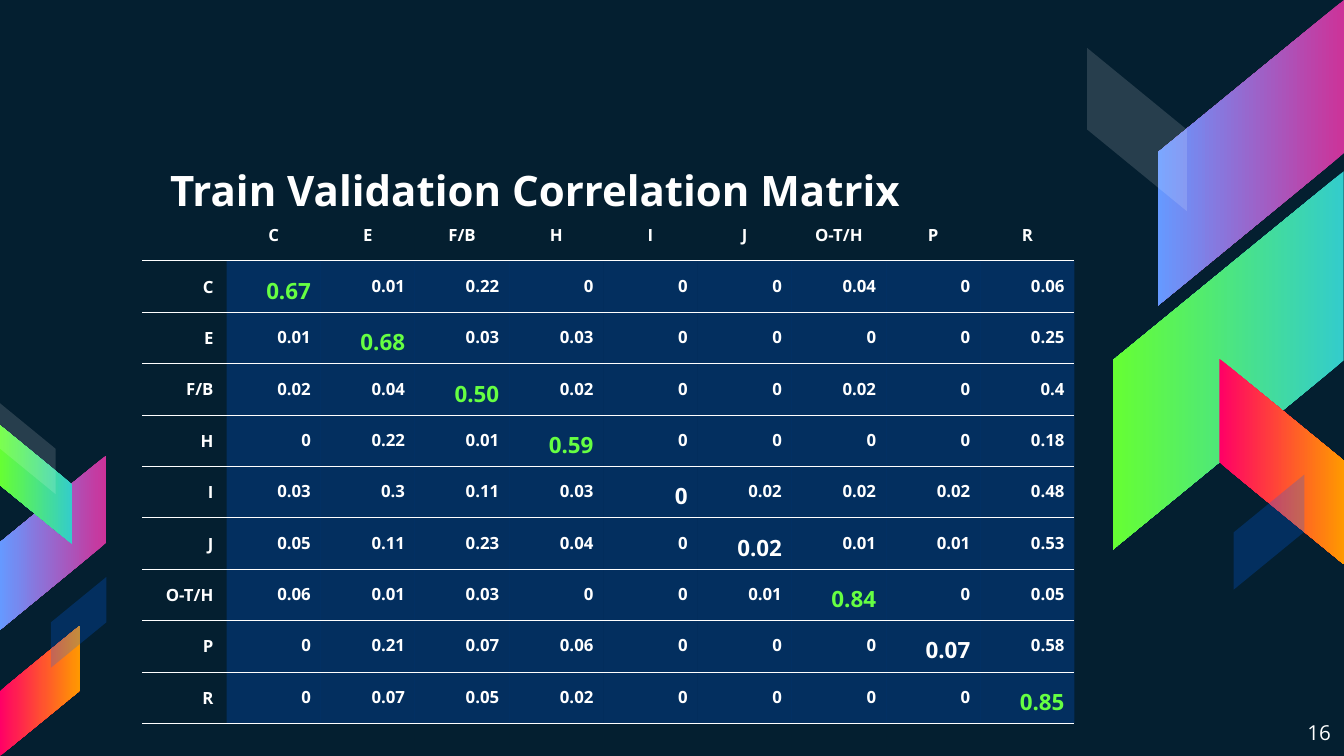
from dataclasses import dataclass

from lxml import etree
from pptx import Presentation, util as u
from pptx.dml.color import RGBColor
from pptx.enum import shapes, text
from pptx.oxml import ns


@dataclass(frozen=True)
class Theme:
    font: str = "Open Sans"
    background: str = "041F30"
    white: str = "FFFFFF"
    blue: str = "0066FF"
    strong_score: str = "66FF42"
    purple: tuple = ("CC3399", "6699FF")
    green: tuple = ("33CCCC", "66FF33")
    orange: tuple = ("FF0066", "FF9900")
    haze_opacity: int = 14
    blue_opacity: int = 23
    title_size: float = 30
    number_size: float = 14.7
    label_size: float = 12
    diagonal_size: float = 16
    rule_width: float = 0.75


THEME = Theme()
LEFT, CENTER, RIGHT = text.PP_ALIGN.LEFT, text.PP_ALIGN.CENTER, text.PP_ALIGN.RIGHT
TOP, MIDDLE, BOTTOM = text.MSO_ANCHOR.TOP, text.MSO_ANCHOR.MIDDLE, text.MSO_ANCHOR.BOTTOM

CLASSES = ["C", "E", "F/B", "H", "I", "J", "O-T/H", "P", "R"]
SCORES = [
    "0.67 0.01 0.22 0 0 0 0.04 0 0.06",
    "0.01 0.68 0.03 0.03 0 0 0 0 0.25",
    "0.02 0.04 0.50 0.02 0 0 0.02 0 0.4",
    "0 0.22 0.01 0.59 0 0 0 0 0.18",
    "0.03 0.3 0.11 0.03 0 0.02 0.02 0.02 0.48",
    "0.05 0.11 0.23 0.04 0 0.02 0.01 0.01 0.53",
    "0.06 0.01 0.03 0 0 0.01 0.84 0 0.05",
    "0 0.21 0.07 0.06 0 0 0 0.07 0.58",
    "0 0.07 0.05 0.02 0 0 0 0 0.85",
]

# Ribbons: x, y, width, height in cm within the cluster; rotation, mirrored, colours
RIGHT_RIBBONS = [
    (1.78, 0, 4.69, 7.7, 90, True, THEME.purple),
    (0.64, 4.32, 5.82, 9.53, 90, True, THEME.green),
    (3.33, 9.04, 3.14, 5.18, 270, False, THEME.orange),
    (0, 1.21, 2.51, 4.11, 270, False, (THEME.white, THEME.haze_opacity)),
    (3.69, 11.96, 1.78, 2.9, 270, True, (THEME.blue, THEME.blue_opacity)),
]
LEFT_RIBBONS = [
    (0, 1.32, 2.67, 4.39, 90, True, THEME.purple),
    (0, 0.56, 1.83, 3, 90, False, THEME.green),
    (0, 5.61, 2.01, 3.28, 270, True, THEME.orange),
    (0, 0, 1.4, 2.29, 270, False, (THEME.white, THEME.haze_opacity)),
    (1.28, 4.38, 1.4, 2.29, 270, True, (THEME.blue, THEME.blue_opacity)),
]


def write(frame, words, *, size, color=THEME.white, bold=False, align=LEFT, spacing=None):
    paragraph = frame.paragraphs[0]
    paragraph.alignment = align
    paragraph.line_spacing = spacing
    run = paragraph.add_run()
    run.text = words
    run.font.name = THEME.font
    run.font.size = u.Pt(size)
    run.font.bold = bold
    run.font.color.rgb = RGBColor.from_string(color)


def tint(fill, properties, color, opacity):
    """Give a translucent solid fill; opacity is in percent."""
    fill.solid()
    fill.fore_color.rgb = RGBColor.from_string(color)
    solid = properties.find(ns.qn("a:solidFill"))
    etree.SubElement(solid[0], ns.qn("a:alpha"), val=str(opacity * 1000))


def rule(cell, edge):
    """Draw a cell border: edge is lnT or lnB."""
    line = etree.Element(ns.qn(f"a:{edge}"), w=str(u.Pt(THEME.rule_width)))
    solid = etree.SubElement(line, ns.qn("a:solidFill"))
    etree.SubElement(solid, ns.qn("a:srgbClr"), val=THEME.white)
    cell._tc.get_or_add_tcPr().insert(0, line)


def add_ribbons(slide, box, ribbons):
    left, top = box
    cluster = slide.shapes.add_group_shape().shapes
    for x, y, width, height, rotation, mirrored, colors in ribbons:
        # The frame lies on its side before the quarter turn
        shift = (height - width) / 2
        ribbon = cluster.add_shape(
            shapes.MSO_SHAPE.PARALLELOGRAM, u.Cm(left + x - shift), u.Cm(top + y + shift),
            u.Cm(height), u.Cm(width))
        ribbon.adjustments[0] = 0.819
        ribbon.rotation = rotation
        ribbon.shadow.inherit = False
        ribbon.line.fill.background()
        properties = ribbon._element.spPr
        if mirrored:
            properties.find(ns.qn("a:xfrm")).set("flipH", "1")
        start, end = colors
        if isinstance(end, int):
            tint(ribbon.fill, properties, start, end)
        else:
            ribbon.fill.gradient()
            ribbon.fill.gradient_angle = 270
            for stop, color in zip(ribbon.fill.gradient_stops, colors):
                stop.color.rgb = RGBColor.from_string(color)


def add_caption(slide, box, words, anchor=TOP, **style):
    frame = slide.shapes.add_textbox(*map(u.Cm, box)).text_frame
    frame.word_wrap = True
    frame.vertical_anchor = anchor
    frame.margin_left = frame.margin_right = u.Cm(0.33)
    frame.margin_top = frame.margin_bottom = u.Cm(0.33)
    write(frame, words, **style)


def set_cell(cell, words, side, anchor, **style):
    cell.margin_left = cell.margin_right = u.Cm(side)
    cell.margin_top = cell.margin_bottom = u.Cm(0.25)
    cell.vertical_anchor = anchor
    write(cell.text_frame, words, bold=True, **style)


def add_matrix(slide, box):
    left, top, width, height = box
    count = len(CLASSES) + 1
    matrix = slide.shapes.add_table(count, count, *map(u.Cm, box)).table
    matrix.first_row = matrix.horz_banding = False
    # Table style without fills or grid
    matrix._tbl.tblPr.find(ns.qn("a:tableStyleId")).text = "{2D5ABB26-0587-4C30-8999-92F81FD0307C}"

    label_width = 2.13
    for index, column in enumerate(matrix.columns):
        column.width = u.Cm((width - label_width) / (count - 1) if index else label_width)
    for row in matrix.rows:
        row.height = u.Cm(height / count)

    # Class labels along both sides
    corner = matrix.cell(0, 0).text_frame.paragraphs[0]
    corner._p.get_or_add_endParaRPr().set("sz", str(THEME.label_size * 100))
    for index, name in enumerate(CLASSES, 1):
        set_cell(matrix.cell(0, index), name, 0.33, MIDDLE, size=THEME.label_size, align=CENTER)
        set_cell(matrix.cell(index, 0), name, 0.33, MIDDLE, size=THEME.label_size, align=RIGHT)

    # Scores, larger on the diagonal and green from one half up
    for r, scores in enumerate(SCORES, 1):
        for c, score in enumerate(scores.split(), 1):
            cell = matrix.cell(r, c)
            diagonal = r == c
            strong = diagonal and float(score) >= 0.5
            set_cell(cell, score, 0.25, TOP, align=RIGHT, spacing=1.15,
                     size=THEME.diagonal_size if diagonal else THEME.label_size,
                     color=THEME.strong_score if strong else THEME.white)
            tint(cell.fill, cell._tc.tcPr, THEME.blue, THEME.blue_opacity)

    # Rules between the rows
    for r in range(count):
        for c in range(count):
            cell = matrix.cell(r, c)
            rule(cell, "lnB")
            if r:
                rule(cell, "lnT")


def add_matrix_slide(deck):
    slide = deck.slides.add_slide(deck.slide_layouts[6])
    slide.background.fill.solid()
    slide.background.fill.fore_color.rgb = RGBColor.from_string(THEME.background)
    add_ribbons(slide, (27.4, 0), RIGHT_RIBBONS)
    add_ribbons(slide, (0, 10.16), LEFT_RIBBONS)
    add_caption(slide, (3.96, 3.38, 22.12, 2.36), "Train Validation Correlation Matrix",
                BOTTOM, size=THEME.title_size, bold=True)
    add_caption(slide, (31.7, 17.83, 2.17, 1.22), "16", size=THEME.number_size, align=RIGHT)
    add_matrix(slide, (3.58, 5.28, 23.5, 12.95))


def main():
    deck = Presentation()
    deck.slide_width, deck.slide_height = u.Cm(33.87), u.Cm(19.05)
    add_matrix_slide(deck)
    deck.save("out.pptx")


if __name__ == "__main__":
    main()
